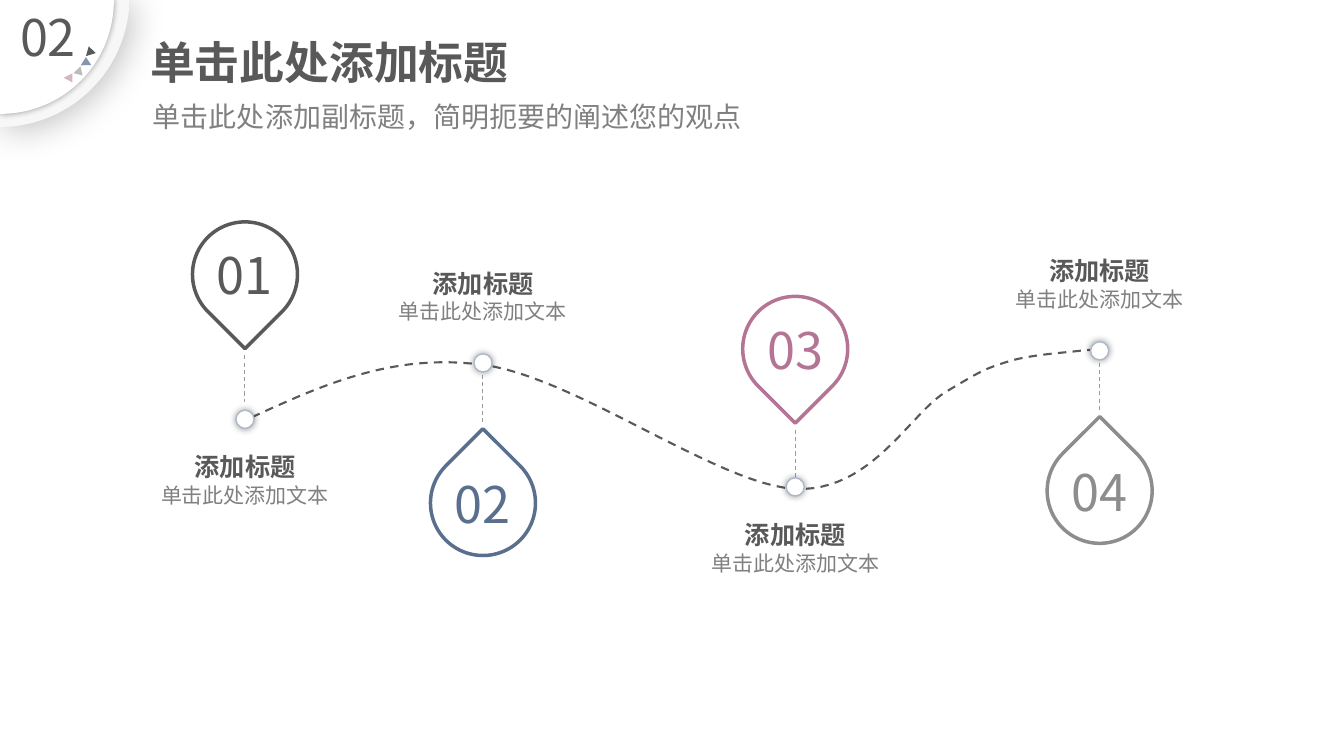
from pptx import Presentation
from pptx.dml.color import RGBColor
from pptx.enum.dml import MSO_LINE
from pptx.enum.shapes import MSO_CONNECTOR, MSO_SHAPE
from pptx.enum.text import MSO_ANCHOR, MSO_AUTO_SIZE, PP_ALIGN
from pptx.oxml.ns import qn
from pptx.util import Pt
from lxml.etree import SubElement

FONT = "Noto Sans CJK SC"
HUES = {
    "dark": "595959", "text": "808080", "blue": "5A6F8D", "rose": "B47595",
    "gray": "8D8D8D", "thin": "9B9B9B", "ring": "ADB9CA", "white": "FFFFFF",
    "pale": "F7F7F7", "steel": "8496B0", "ash": "BCBCBC", "pink": "D7B5C6",
    "black": "000000",
}


def write(text, shape, size=15, hue="text", bold=False, align=PP_ALIGN.CENTER,
          anchor=MSO_ANCHOR.TOP, space=0.9, inset=(0, 0)):
    frame = shape.text_frame
    frame.word_wrap = True
    frame.auto_size = MSO_AUTO_SIZE.NONE
    frame.vertical_anchor = anchor
    frame.margin_left = frame.margin_right = Pt(inset[0])
    frame.margin_top = frame.margin_bottom = Pt(inset[1])
    para = frame.paragraphs[0]
    para.alignment = align
    para.line_spacing = space
    para.space_before = Pt(0)
    run = para.add_run()
    run.text = text
    run.font.name = FONT
    run.font.size = Pt(size)
    run.font.bold = bold
    run.font.color.rgb = RGBColor.from_string(HUES[hue])
    SubElement(run.font._element, qn("a:ea"), typeface=FONT)


def paint(shape, fill=None, line=None, width=1, dash=False, glow=None):
    if fill:
        shape.fill.solid()
        shape.fill.fore_color.rgb = RGBColor.from_string(HUES[fill])
    elif hasattr(shape, "fill"):
        shape.fill.background()
    if line:
        shape.line.color.rgb = RGBColor.from_string(HUES[line])
        shape.line.width = Pt(width)
        if dash:
            shape.line.dash_style = MSO_LINE.DASH
    else:
        shape.line.fill.background()
    effect = SubElement(shape.element.spPr, qn("a:effectLst"))
    if glow:
        alpha, blur, dist, angle = glow
        shade = SubElement(effect, qn("a:outerShdw"), blurRad=str(Pt(blur)),
                           dist=str(Pt(dist)), dir=str(angle * 60000),
                           algn="ctr", rotWithShape="0")
        tint = SubElement(shade, qn("a:srgbClr"), val=HUES["black"])
        SubElement(tint, qn("a:alpha"), val=str(alpha * 1000))


deck = Presentation()
deck.slide_width, deck.slide_height = Pt(960), Pt(540)
slide = deck.slides.add_slide(deck.slide_layouts[0])
shapes = slide.shapes

heads = [
    ("单击此处添加标题", (100, 29.5, 445, 37.5), 32, "dark", True, MSO_ANCHOR.BOTTOM),
    ("单击此处添加副标题，简明扼要的阐述您的观点", (102, 70, 444, 27.5), 20, "text", False,
     MSO_ANCHOR.TOP),
]
for holder, (text, box, size, hue, bold, anchor) in zip(slide.placeholders, heads):
    holder.left, holder.top, holder.width, holder.height = map(Pt, box)
    write(text, holder, size=size, hue=hue, bold=bold, align=PP_ALIGN.LEFT,
          anchor=anchor, inset=(7.2, 3.6))

soft = (40, 5, 0, 0)
wave = [
    (180, 298), (230.4, 275), (280.8, 252), (344.9, 260.6),
    (409.7, 268.6), (511.9, 345.6), (567.4, 349.2),
    (622.1, 352.1), (650.2, 295.2), (675.4, 280.1),
    (700.6, 265), (703.4, 263.5), (719.3, 258.5),
    (735.1, 253.4), (759.6, 252), (771.1, 250.6),
    (782.6, 249.1), (787.7, 250.6), (787.7, 251.3),
]
paths = [
    ([(0, 0), (92, 0)], [(92, 8), (87.1, 54.7), (47.5, 90.7), (0, 90.7)],
     {"fill": "pale", "glow": (25, 26, 3, 45)}),
    ([(0, 0)], [(81.4, 0), (81.4, 45.4), (45.4, 81.4), (0, 81.4)],
     {"fill": "white", "glow": soft}),
    ([(68.4, 37.9), (61.4, 40.1), (63.4, 33.1)], [], {"fill": "dark"}),
    ([(65.1, 46.5), (57.7, 46.7), (61.4, 40.8)], [], {"fill": "steel"}),
    ([(59, 53.9), (52.5, 52.3), (57.5, 47.4)], [], {"fill": "ash"}),
    ([(51.7, 58.9), (45.5, 55.5), (51.7, 52.4)], [], {"fill": "pink"}),
    ([], wave, {"line": "dark", "width": 1.5, "dash": True}),
]
STEPS = 24
for lead, curve, style in paths:
    dots = lead + curve[:1]
    for i in range(0, len(curve) - 1, 3):
        for step in range(1, STEPS + 1):
            t = step / STEPS
            parts = ((1 - t) ** 3, 3 * t * (1 - t) ** 2, 3 * t * t * (1 - t), t ** 3)
            dots.append([sum(part * dot[axis] for part, dot in zip(parts, curve[i:i + 4]))
                         for axis in (0, 1)])
    dots = [(Pt(x), Pt(y)) for x, y in dots]
    pen = shapes.build_freeform(*dots[0])
    pen.add_line_segments(dots[1:], close="fill" in style)
    paint(pen.convert_to_shape(), **style)

write("02", shapes.add_textbox(Pt(3), Pt(4.5), Pt(62.5), Pt(51)), size=36, hue="dark", space=1)

DROP, NODE, WIDE = 75, 13, 148
pins = [
    ("01", "dark", 175, 196, 299.5),
    ("02", "blue", 345, 359.3, 259.2),
    ("03", "rose", 568, 249.2, 347.8),
    ("04", "gray", 785.5, 350.6, 250.6),
]
for label, hue, x, y, node in pins:
    side = 1 if node > y else -1
    drop = shapes.add_shape(MSO_SHAPE.TEAR, Pt(x - DROP / 2), Pt(y - DROP / 2),
                            Pt(DROP), Pt(DROP))
    drop.rotation = 135 if side > 0 else 315
    paint(drop, line=hue, width=2.5)
    box = shapes.add_textbox(Pt(x - 28), Pt(y - 32.5), Pt(56), Pt(65))
    write(label, box, size=36, hue=hue, anchor=MSO_ANCHOR.MIDDLE, space=1)
    stem = shapes.add_connector(MSO_CONNECTOR.STRAIGHT, Pt(x), Pt(y + side * 57.8),
                                Pt(x), Pt(y + side * 91.5))
    paint(stem, line="thin", width=0.75, dash=True)
    ring = shapes.add_shape(MSO_SHAPE.OVAL, Pt(x - NODE / 2), Pt(node - NODE / 2),
                            Pt(NODE), Pt(NODE))
    paint(ring, fill="white", line="ring", glow=soft)
    top = node + (14 if side > 0 else -77)
    box = shapes.add_textbox(Pt(x - WIDE / 2), Pt(top), Pt(WIDE), Pt(31))
    write("添加标题", box, size=18, hue="dark", bold=True, anchor=MSO_ANCHOR.BOTTOM)
    box = shapes.add_textbox(Pt(x - WIDE / 2), Pt(top + 33.2), Pt(WIDE), Pt(28))
    write("单击此处添加文本", box)

deck.save("out.pptx")
